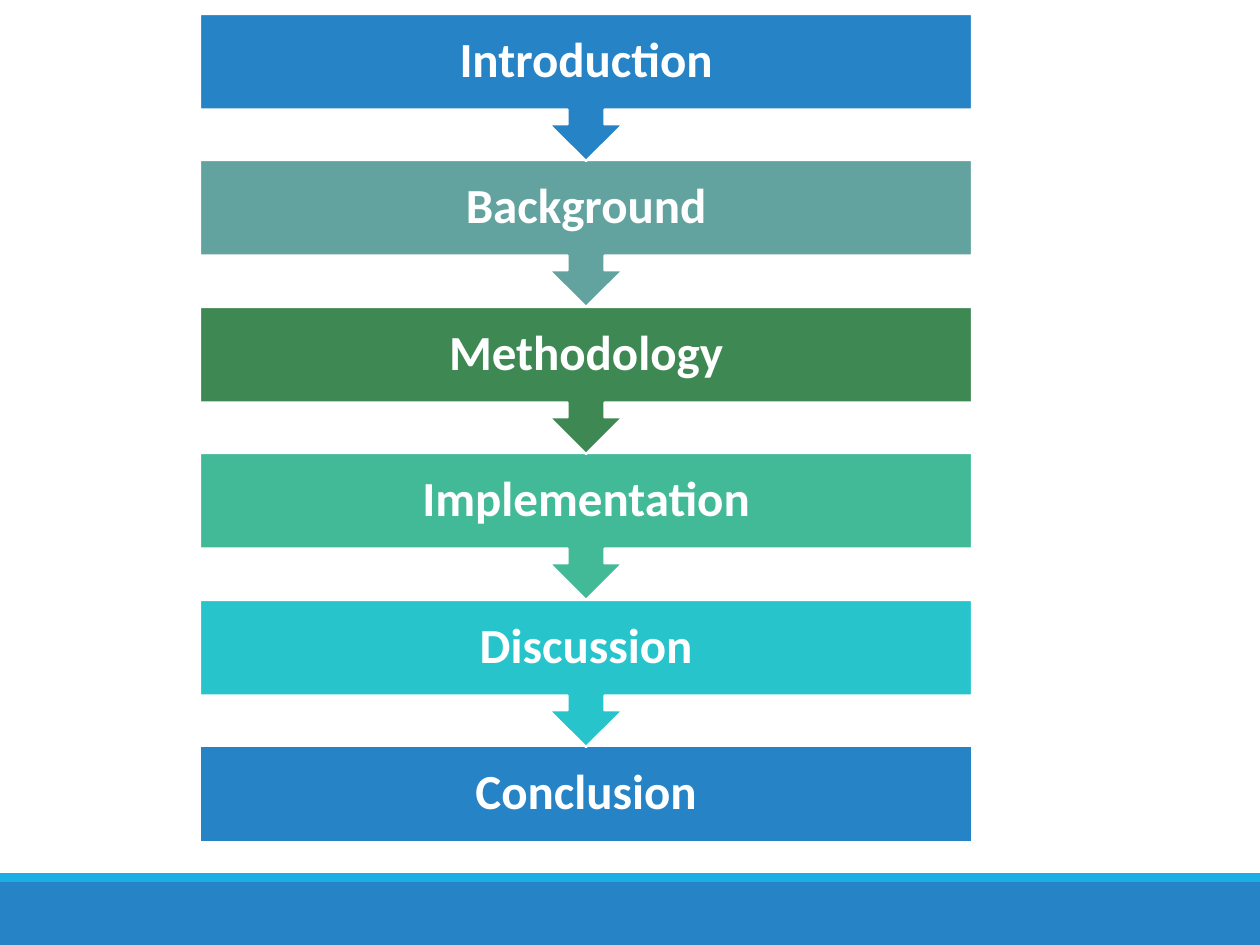
from pptx import Presentation
from pptx.dml.color import RGBColor
from pptx.enum.shapes import MSO_SHAPE
from pptx.enum.text import MSO_ANCHOR, PP_ALIGN
from pptx.util import Emu, Pt

RECTANGLE = MSO_SHAPE.RECTANGLE
CALLOUT = MSO_SHAPE.UP_ARROW_CALLOUT
MIDDLE = MSO_ANCHOR.MIDDLE
CENTER = PP_ALIGN.CENTER

EMU_PER_PX = 914400 / 126
COLORS = {
    "white": "FFFFFF",
    "blue": "2683C6",
    "sky": "1CADE4",
    "sage": "62A39F",
    "green": "3E8853",
    "mint": "42BA97",
    "cyan": "28C4CC",
}
STEPS = [
    ("Introduction", "blue"),
    ("Background", "sage"),
    ("Methodology", "green"),
    ("Implementation", "mint"),
    ("Discussion", "cyan"),
    ("Conclusion", "blue"),
]
STEP_LEFT, STEP_WIDTH = 200, 772
FIRST_TOP, LAST_TOP = 14, 746
BAR_HEIGHT, CALLOUT_HEIGHT = 96, 147
LABEL_INSET = 28


def px(length):
    return Emu(round(length * EMU_PER_PX))


def color(name):
    return RGBColor.from_string(COLORS[name])


def add_block(page, kind, left, top, width, height, fill, outlined=False):
    block = page.shapes.add_shape(kind, px(left), px(top), px(width), px(height))
    block.shadow.inherit = False
    block.fill.solid()
    block.fill.fore_color.rgb = color(fill)
    if outlined:
        block.line.color.rgb = color("white")
        block.line.width = Pt(1.25)
    else:
        block.line.fill.background()
    return block


def add_label(page, text, top):
    box = page.shapes.add_textbox(px(STEP_LEFT), px(top), px(STEP_WIDTH), px(BAR_HEIGHT))
    frame = box.text_frame
    frame.word_wrap = True
    frame.vertical_anchor = MIDDLE
    frame.margin_left = frame.margin_right = px(LABEL_INSET)
    frame.margin_top = frame.margin_bottom = px(LABEL_INSET)
    frame.text = text
    para = frame.paragraphs[0]
    para.alignment = CENTER
    para.line_spacing = 0.9
    font = para.runs[0].font
    font.name = "Calibri"
    font.size = Pt(28)
    font.bold = True
    font.color.rgb = color("white")


def add_step(page, index, text, fill):
    last = len(STEPS) - 1
    top = FIRST_TOP + round((LAST_TOP - FIRST_TOP) * index / last)
    if index == last:
        add_block(page, RECTANGLE, STEP_LEFT, top, STEP_WIDTH, BAR_HEIGHT, fill, True)
    else:
        callout = add_block(page, CALLOUT, STEP_LEFT, top, STEP_WIDTH, CALLOUT_HEIGHT, fill, True)
        callout.rotation = 180
    add_label(page, text, top)


def main():
    deck = Presentation()
    deck.slide_width, deck.slide_height = px(1260), px(945)
    page = deck.slides.add_slide(deck.slide_layouts[6])
    add_block(page, RECTANGLE, 0, 882, 1260, 63, "blue")
    add_block(page, RECTANGLE, 0, 873, 1260, 9, "sky")
    for index, (text, fill) in reversed(list(enumerate(STEPS))):
        add_step(page, index, text, fill)
    deck.save("out.pptx")


if __name__ == "__main__":
    main()
